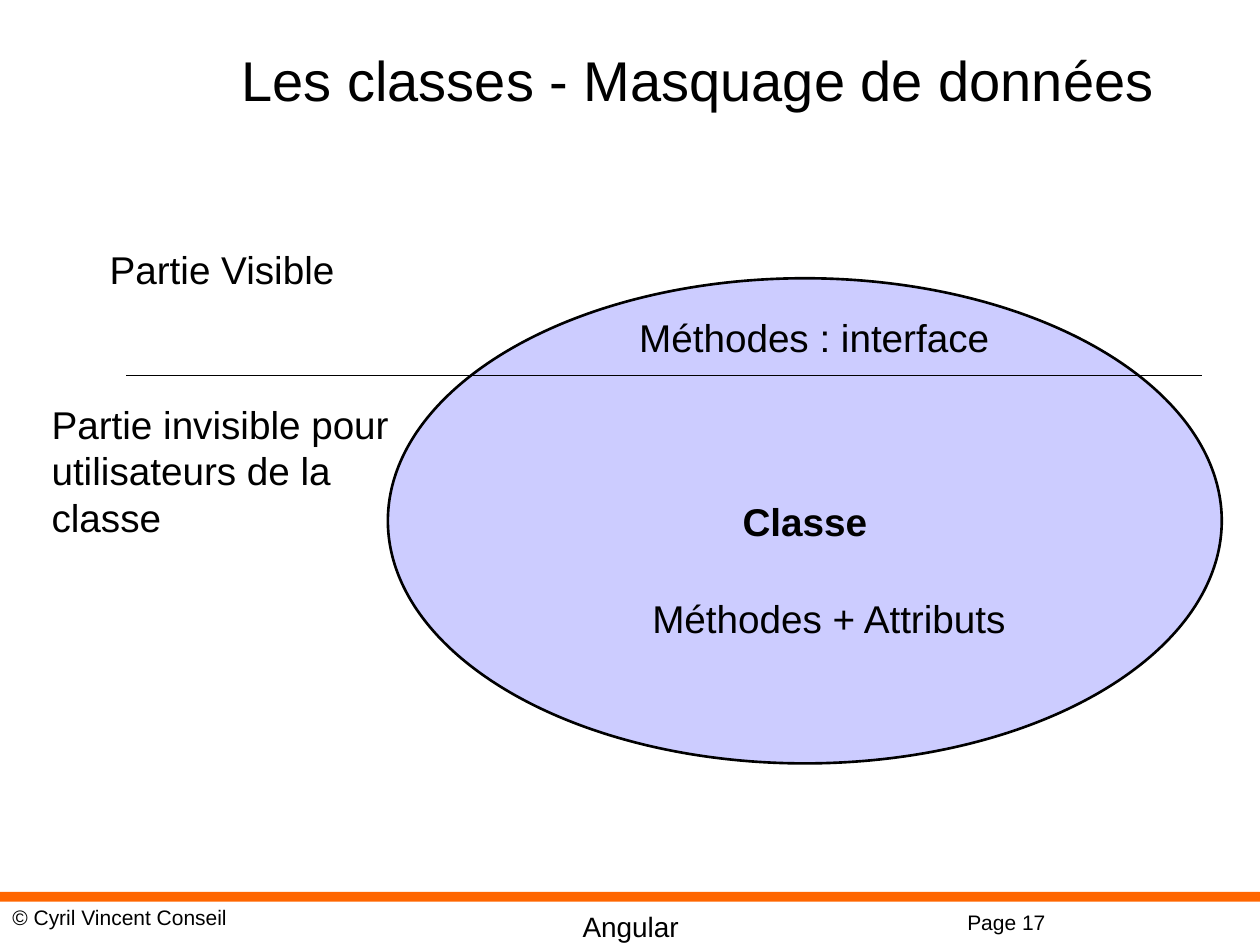
from pptx import Presentation
from pptx.dml.color import RGBColor
from pptx.enum.shapes import MSO_CONNECTOR as Connector, MSO_SHAPE as Shape
from pptx.enum.text import MSO_ANCHOR as Anchor, PP_ALIGN as Align
from pptx.util import Cm, Pt
from lxml.etree import SubElement
from pptx.oxml.ns import qn


def color(hex_value):
    return RGBColor.from_string(hex_value)


def write(box, text, size=22.1, bold=False, align=Align.LEFT, anchor=Anchor.TOP, wrap=True):
    frame = box.text_frame
    frame.word_wrap = wrap
    frame.vertical_anchor = anchor
    para = frame.paragraphs[0]
    para.alignment = align
    span = para.add_run()
    span.text = text
    span.font.name = "Arial"
    span.font.size = Pt(size)
    span.font.bold = bold
    span.font.color.rgb = color("000000")


deck = Presentation()
deck.slide_width, deck.slide_height = Cm(25.4), Cm(19.05)
page = deck.slides.add_slide(deck.slide_layouts[6])

footer_bar = page.shapes.add_shape(Shape.RECTANGLE, 0, Cm(17.98), Cm(25.4), Cm(0.2))
footer_bar.shadow.inherit = False
footer_bar.fill.solid()
footer_bar.fill.fore_color.rgb = color("FF6600")
footer_bar.line.fill.background()

class_oval = page.shapes.add_shape(Shape.OVAL, Cm(7.82), Cm(5.61), Cm(16.81), Cm(9.78))
class_oval.shadow.inherit = False
class_oval.fill.solid()
class_oval.fill.fore_color.rgb = color("CCCCFF")
class_oval.line.color.rgb = color("000000")
class_oval.line.width = Pt(1.5)
write(class_oval, "Classe", bold=True, align=Align.CENTER, anchor=Anchor.MIDDLE, wrap=False)

divider = page.shapes.add_connector(Connector.STRAIGHT, Cm(2.54), Cm(7.57), Cm(24.23), Cm(7.57))
divider.line.color.rgb = color("000000")
divider.line.width = Pt(0.75)
SubElement(divider.element.spPr, qn("a:effectLst"))

centered = {"align": Align.CENTER}
texts = [
    ("Page 17", 19.25, 18.21, 3.38, 0.76, {"size": 12}),
    ("Angular", 6.15, 18.21, 13.13, 0.94, {"size": 16, **centered}),
    ("© Cyril Vincent Conseil", 0, 18.11, 9.53, 0.76, {"size": 12}),
    ("Les classes - Masquage de données", 3.28, 0, 21.59, 3.18,
     {"size": 32, "anchor": Anchor.MIDDLE, **centered}),
    ("Partie Visible", 1.96, 4.83, 5.66, 1.19, {}),
    ("Partie invisible pour utilisateurs de la classe", 0.79, 7.95, 7.42, 3.1, {}),
    ("Méthodes : interface", 12.12, 6.2, 8.59, 1.19, centered),
    ("Méthodes + Attributs", 12.9, 11.86, 8.2, 1.19, {}),
]
for text, left, top, width, height, style in texts:
    box = page.shapes.add_textbox(Cm(left), Cm(top), Cm(width), Cm(height))
    write(box, text, **style)

deck.save("out.pptx")
